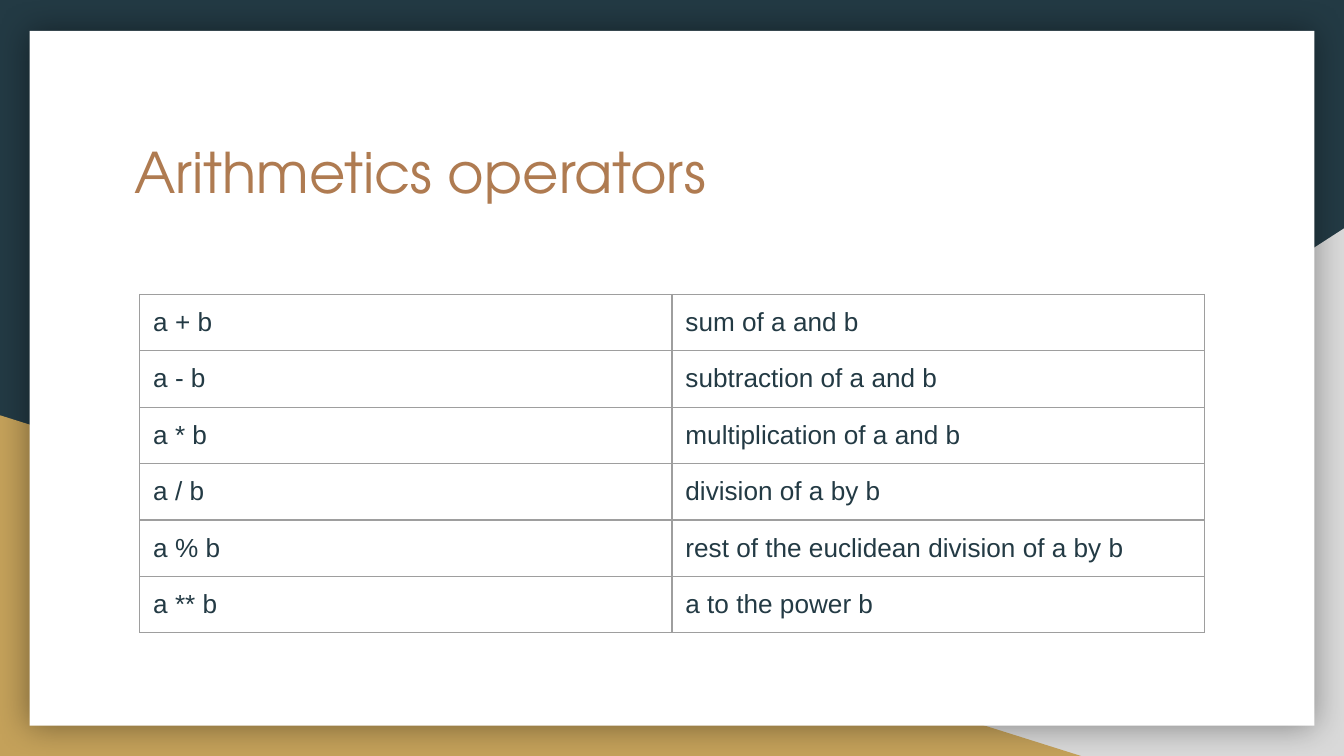
from lxml.etree import SubElement
from pptx import Presentation
from pptx.dml.color import RGBColor
from pptx.enum.shapes import MSO_SHAPE as Preset
from pptx.enum.text import MSO_ANCHOR as Anchor, MSO_AUTO_SIZE as AutoSize, PP_ALIGN as Align
from pptx.oxml.ns import qn
from pptx.util import Inches, Pt

WIDTH, HEIGHT = Pt(720), Pt(405)
NAVY, GOLD, GREY, WHITE = "233A44", "C4A15A", "D9D9D9", "FFFFFF"
COPPER, RULE, BLACK = "AF7B51", "9E9E9E", "000000"
MARGINS = dict.fromkeys(("margin_left", "margin_top", "margin_right", "margin_bottom"), Inches(0.1))
TITLE_FONT = {"name": "TeX Gyre Adventor", "size": Pt(30), "bold": False}
CELL_FONT = {"name": "Arial", "size": Pt(14), "bold": False}
OPERATORS = [
    ("a + b", "sum of a and b"),
    ("a - b", "subtraction of a and b"),
    ("a * b", "multiplication of a and b"),
    ("a / b", "division of a by b"),
    ("a % b", "rest of the euclidean division of a by b"),
    ("a ** b", "a to the power b"),
]


def color(value):
    return RGBColor.from_string(value)


def box(left, top, width, height):
    return [Inches(length) for length in (left, top, width, height)]


def apply(target, values):
    for name, value in values.items():
        setattr(target, name, value)


def write(text_frame, text, font, font_color):
    paragraph = text_frame.paragraphs[0]
    paragraph.alignment = Align.LEFT
    run = paragraph.add_run()
    run.text = text
    apply(run.font, font)
    run.font.color.rgb = color(font_color)


def add_panel(slide, preset, area, fill):
    shape = slide.shapes.add_shape(preset, *area)
    shape.shadow.inherit = False
    shape.fill.solid()
    shape.fill.fore_color.rgb = color(fill)
    shape.line.fill.background()
    return shape


def add_soft_shadow(shape, blur, opacity):
    effects = shape.element.spPr.find(qn("a:effectLst"))
    shadow = SubElement(effects, qn("a:outerShdw"), blurRad=str(Pt(blur)), dist="0", dir="0",
                        algn="bl", rotWithShape="0")
    tint = SubElement(shadow, qn("a:srgbClr"), val=BLACK)
    SubElement(tint, qn("a:alpha"), val=str(opacity * 1000))


def add_backdrop(slide):
    slide.background.fill.solid()
    slide.background.fill.fore_color.rgb = color(NAVY)
    corner = add_panel(slide, Preset.RIGHT_TRIANGLE, box(3.92, 1.7, 6.08, 3.93), GREY)
    corner.element.spPr.find(qn("a:xfrm")).set("flipH", "1")
    add_panel(slide, Preset.RIGHT_TRIANGLE, box(0, 3.09, 8.06, 2.54), GOLD)
    card = add_panel(slide, Preset.RECTANGLE, box(0.22, 0.23, 9.56, 5.17), WHITE)
    add_soft_shadow(card, blur=18, opacity=40)


def add_title(slide, area, text):
    title = slide.shapes.title
    slide.shapes.element.append(title.element)
    apply(title, dict(zip(("left", "top", "width", "height"), area)))
    frame_format = {"vertical_anchor": Anchor.TOP, "word_wrap": True, "auto_size": AutoSize.NONE}
    apply(title.text_frame, MARGINS | frame_format)
    write(title.text_frame, text, TITLE_FONT, COPPER)


def add_borders(cell, width):
    properties = cell._tc.get_or_add_tcPr()
    for side in ("lnL", "lnR", "lnT", "lnB"):
        line = SubElement(properties, qn(f"a:{side}"), w=str(Pt(width)))
        fill = SubElement(line, qn("a:solidFill"))
        SubElement(fill, qn("a:srgbClr"), val=RULE)


def add_operator_table(slide, area, rows):
    table = slide.shapes.add_table(len(rows), len(rows[0]), *area).table
    apply(table, {"first_row": False, "horz_banding": False})
    for row_index, row in enumerate(rows):
        for column_index, text in enumerate(row):
            cell = table.cell(row_index, column_index)
            apply(cell, MARGINS | {"vertical_anchor": Anchor.TOP})
            add_borders(cell, 0.75)
            cell.fill.background()
            write(cell.text_frame, text, CELL_FONT, NAVY)


def main():
    presentation = Presentation()
    apply(presentation, {"slide_width": WIDTH, "slide_height": HEIGHT})
    slide = presentation.slides.add_slide(presentation.slide_layouts[5])
    add_backdrop(slide)
    add_title(slide, box(0.9, 0.92, 8.21, 1.04), "Arithmetics operators")
    add_operator_table(slide, box(1.04, 2.19, 2 * 3.96, len(OPERATORS) * 0.42), OPERATORS)
    presentation.save("out.pptx")


if __name__ == "__main__":
    main()
